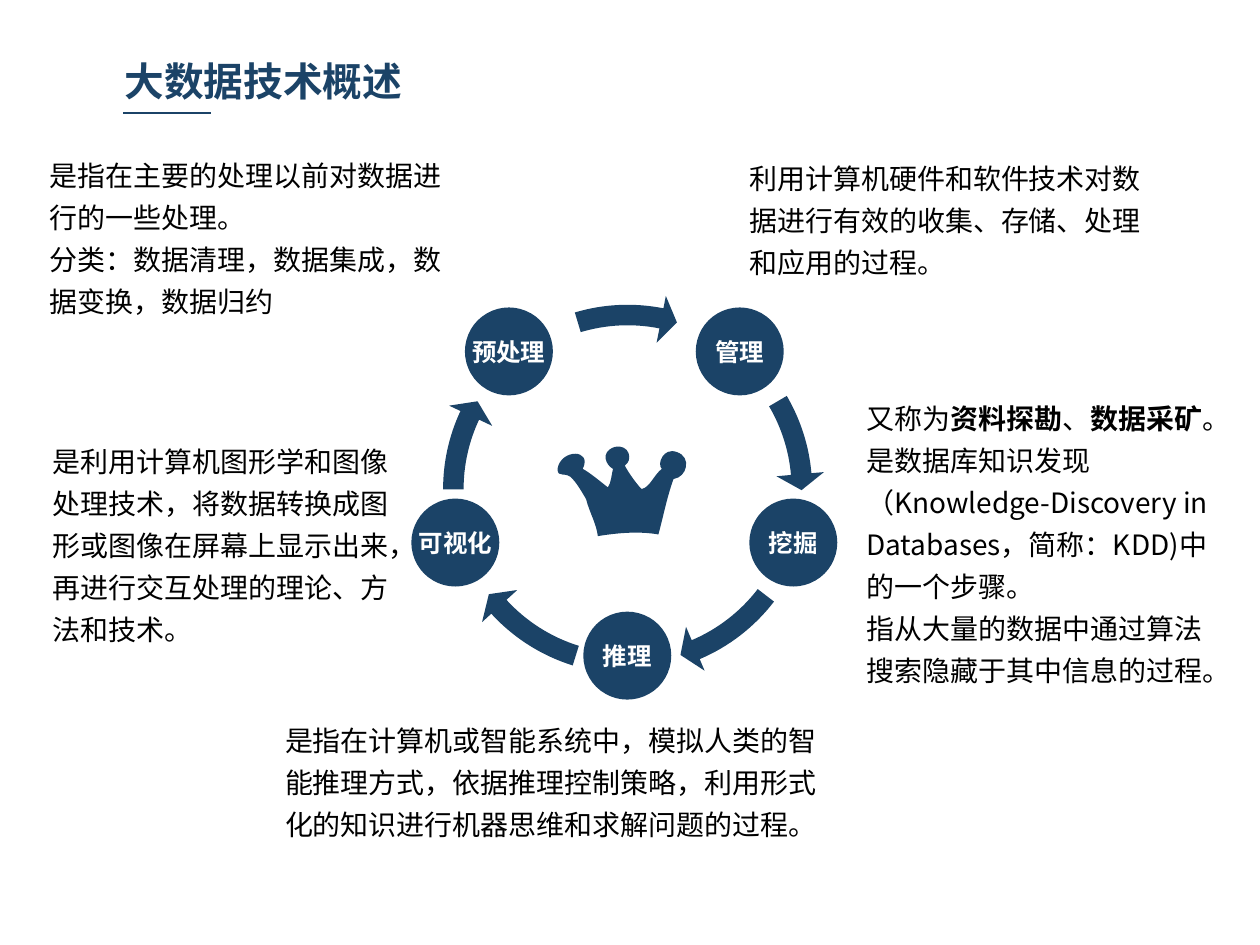
import math

from lxml import etree
from pptx import Presentation
from pptx import util as u
from pptx.dml.color import RGBColor
from pptx.enum import shapes, text
from pptx.oxml import ns

NAVY = RGBColor(0x1B, 0x43, 0x67)
BLACK = RGBColor(0, 0, 0)
WHITE = RGBColor(255, 255, 255)
CJK = "Noto Sans CJK SC"
LABEL_FONT = "Calibri"

NOTES = [
    ((11.18, 2.25, 6.28, 2.06),
     ["利用计算机硬件和软件技术对数据进行有效的收集、存储、处理和应用的过程。"]),
    ((0.6, 2.2, 6.43, 2.72),
     ["是指在主要的处理以前对数据进行的一些处理。",
      "分类：数据清理，数据集成，数据变换，数据归约"]),
    ((0.65, 6.52, 5.44, 3.35),
     ["是利用计算机图形学和图像处理技术，将数据转换成图形或图像在屏幕上显示出来，再进行交互处理的理论、方法和技术。"]),
    ((12.95, 5.88, 5.54, 4.62),
     [[("又称为", False), ("资料探勘", True), ("、", False), ("数据采矿", True), ("。", False)],
      "是数据库知识发现（Knowledge-Discovery in Databases，简称：KDD)中的一个步骤。",
      "指从大量的数据中通过算法搜索隐藏于其中信息的过程。"]),
    ((4.16, 10.74, 8.66, 2.06),
     ["是指在计算机或智能系统中，模拟人类的智能推理方式，依据推理控制策略，利用形式化的知识进行机器思维和求解问题的过程。"]),
]

STEPS = [
    ("预处理", 7.03, 4.65),
    ("管理", 10.52, 4.65),
    ("挖掘", 11.33, 7.54),
    ("可视化", 6.22, 7.54),
    ("推理", 8.82, 9.25),
]
DIAMETER = 1.33

RING_FRAME = (6.5, 4.42, 5.97, 5.97)
RING_X, RING_Y = 9.49, 7.4
OUTER, INNER = 2.79, 2.48
HEAD_OUTER, HEAD_INNER, TIP = 2.98, 2.26, 2.63
HEAD_ANGLE = 5.3
ARROW_ANGLES = [(-30.4, 0.3), (37.5, 72.3), (107.3, 142.9), (180, 210.4), (253.4, 286.5)]

CROWN_FRAME = (8.43, 6.71, 2.06, 1.4)
CROWN_UNIT = 2.06 / 81
CROWN_START = (17, 33)
CROWN_CURVES = [
    ((19, 41), (23, 47), (24, 55)),
    ((36, 53), (49, 52), (60, 54)),
    ((63, 43), (65, 32), (69, 21)),
    ((77, 20), (80, 8), (71, 5)),
    ((63, 2), (59, 12), (62, 15)),
    ((57, 19), (55, 26), (50, 27)),
    ((47, 24), (42, 17), (40, 13)),
    ((45, 10), (43, 0), (34, 2)),
    ((25, 5), (29, 13), (33, 15)),
    ((32, 19), (32, 23), (30, 26)),
    ((26, 23), (19, 17), (15, 15)),
    ((21, 3), (2, 3), (0, 15)),
    ((0, 21), (5, 16), (9, 21)),
    ((12, 24), (17, 33), (17, 33)),
]


def set_text(sp, paragraphs, size=12, font=CJK, color=BLACK, bold=False,
             align=text.PP_ALIGN.LEFT, spacing=1.0, anchor=text.MSO_ANCHOR.TOP,
             wrap=True, inset=(0.15, 0.07)):
    tf = sp.text_frame
    tf.auto_size = text.MSO_AUTO_SIZE.NONE
    tf.word_wrap = wrap
    tf.vertical_anchor = anchor
    tf.margin_left = tf.margin_right = u.Cm(inset[0])
    tf.margin_top = tf.margin_bottom = u.Cm(inset[1])
    for i, runs in enumerate(paragraphs):
        p = tf.add_paragraph() if i else tf.paragraphs[0]
        p.alignment = align
        p.line_spacing = spacing
        p.space_before = u.Pt(0)
        for content, strong in [(runs, bold)] if isinstance(runs, str) else runs:
            r = p.add_run()
            r.text = content
            r.font.size = u.Pt(size)
            r.font.name = font
            r.font.bold = strong
            r.font.color.rgb = color
            ea = etree.SubElement(r.font._element, ns.qn("a:ea"))
            ea.set("typeface", CJK)


def fill_navy(sp):
    sp.shadow.inherit = False
    sp.fill.solid()
    sp.fill.fore_color.rgb = NAVY
    sp.line.fill.background()


def add_note(s, box, paragraphs):
    sp = s.shapes.add_textbox(*map(u.Cm, box))
    set_text(sp, paragraphs, spacing=1.25)


def add_step(s, label, x, y):
    sp = s.shapes.add_shape(shapes.MSO_SHAPE.OVAL, *map(u.Cm, (x, y, DIAMETER, DIAMETER)))
    fill_navy(sp)
    set_text(sp, [label], size=10.5, font=LABEL_FONT, color=WHITE, bold=True,
             align=text.PP_ALIGN.CENTER, anchor=text.MSO_ANCHOR.MIDDLE,
             wrap=False, inset=(0, 0))


def add_curved_shape(s, frame, commands):
    x, y, w, h = map(u.Cm, frame)
    builder = s.shapes.build_freeform(x, y)
    builder.add_line_segments([(x + w, y), (x + w, y + h), (x, y + h)], close=True)
    sp = builder.convert_to_shape()
    outline = sp._element.find(".//" + ns.qn("a:path"))
    for child in list(outline):
        outline.remove(child)
    for tag, points in commands:
        command = etree.SubElement(outline, ns.qn(tag))
        for px, py in points:
            pt = etree.SubElement(command, ns.qn("a:pt"))
            pt.set("x", str(int(u.Cm(px) - x)))
            pt.set("y", str(int(u.Cm(py) - y)))
    etree.SubElement(outline, ns.qn("a:close"))
    fill_navy(sp)


def ring_point(radius, angle):
    a = math.radians(angle)
    return RING_X + radius * math.cos(a), RING_Y + radius * math.sin(a)


def ring_arc(radius, start, end):
    k = 4 / 3 * math.tan(math.radians(end - start) / 4)
    reach = radius * math.hypot(1, k)
    turn = math.degrees(math.atan(k))
    return "a:cubicBezTo", [ring_point(reach, start + turn), ring_point(reach, end - turn),
                            ring_point(radius, end)]


def add_ring_arrow(s, start, tip):
    base = tip - HEAD_ANGLE
    corners = [(HEAD_OUTER, base), (TIP, tip), (HEAD_INNER, base), (INNER, base)]
    add_curved_shape(s, RING_FRAME, [
        ("a:moveTo", [ring_point(OUTER, start)]),
        ring_arc(OUTER, start, base),
        *(("a:lnTo", [ring_point(*corner)]) for corner in corners),
        ring_arc(INNER, base, start),
        ("a:lnTo", [ring_point(OUTER, start)]),
    ])


def crown_point(x, y):
    return CROWN_FRAME[0] + x * CROWN_UNIT, CROWN_FRAME[1] + y * CROWN_UNIT


def add_crown(s):
    add_curved_shape(s, CROWN_FRAME, [
        ("a:moveTo", [crown_point(*CROWN_START)]),
        *(("a:cubicBezTo", [crown_point(*pt) for pt in curve]) for curve in CROWN_CURVES),
    ])


def add_title(s, title):
    sp = s.shapes.title
    sp.left, sp.top, sp.width, sp.height = map(u.Cm, (1.7, 0.77, 4.9, 0.91))
    set_text(sp, [title], size=17, color=NAVY, bold=True, inset=(0.18, 0.09))


def add_rule(s, x1, x2, y):
    cx = s.shapes.add_connector(shapes.MSO_CONNECTOR.STRAIGHT, *map(u.Cm, (x1, y, x2, y)))
    cx.line.color.rgb = NAVY
    cx.line.width = u.Pt(0.75)
    etree.SubElement(cx._element.spPr, ns.qn("a:effectLst"))


def main():
    prs = Presentation()
    prs.slide_width, prs.slide_height = u.Cm(19.05), u.Cm(14.29)
    s = prs.slides.add_slide(prs.slide_layouts[5])
    for box, paragraphs in NOTES:
        add_note(s, box, paragraphs)
    for start, tip in ARROW_ANGLES:
        add_ring_arrow(s, start, tip)
    for step in STEPS:
        add_step(s, *step)
    add_crown(s)
    add_title(s, "大数据技术概述")
    add_rule(s, 1.86, 3.19, 1.71)
    prs.save("out.pptx")


if __name__ == "__main__":
    main()
